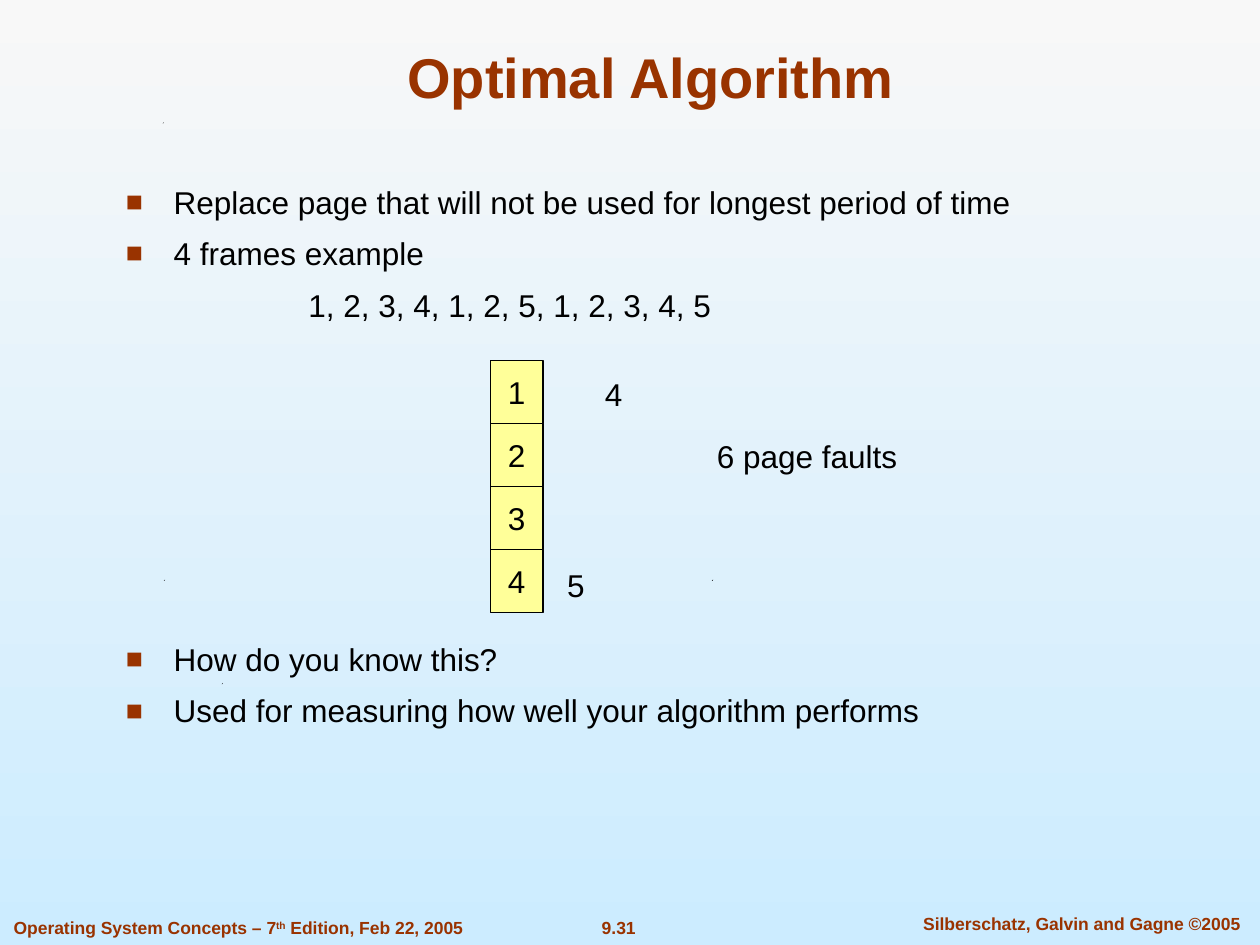
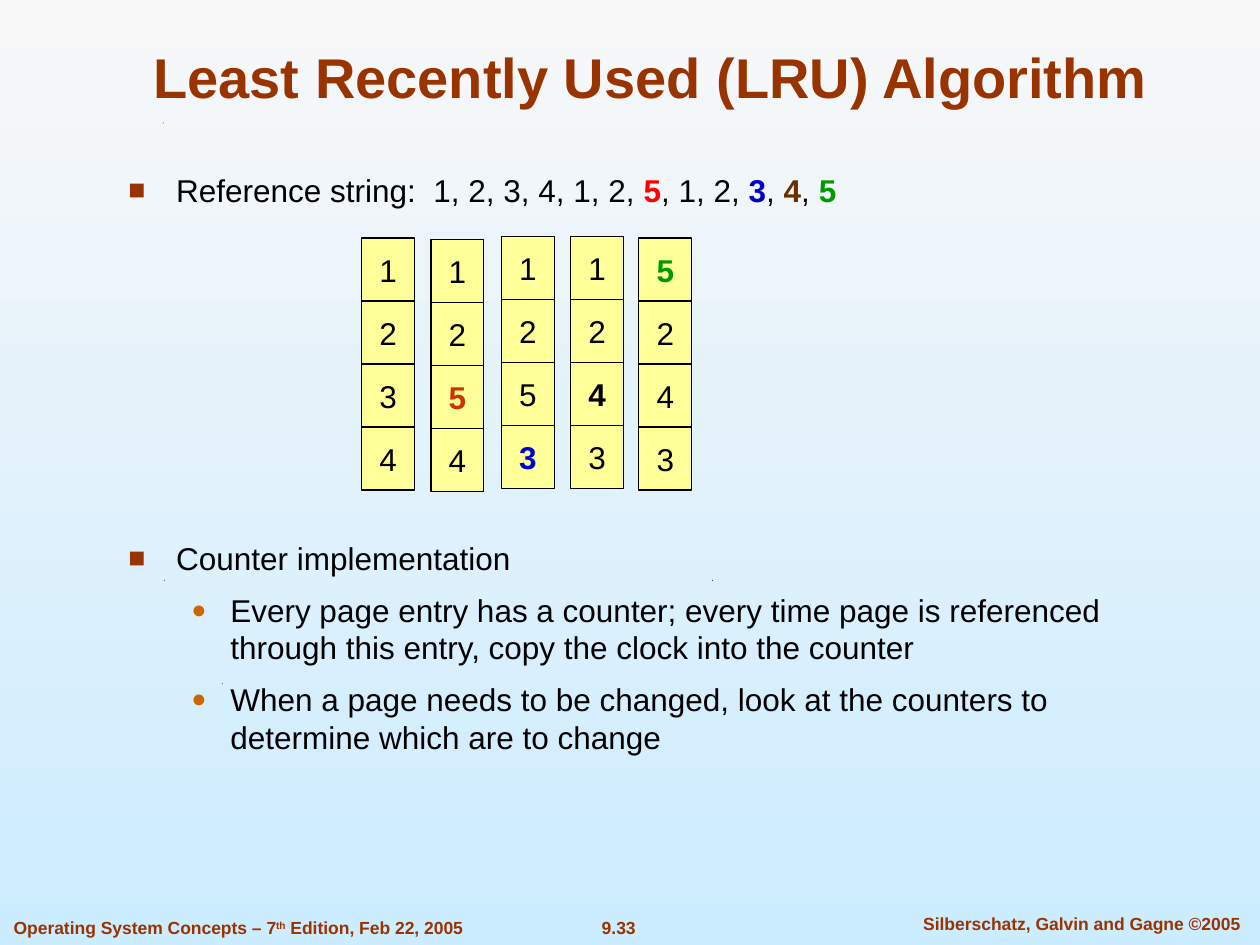
from dataclasses import dataclass

from lxml import etree
from pptx import Presentation
from pptx import util as u
from pptx.dml.color import RGBColor
from pptx.enum import shapes, text
from pptx.oxml.ns import qn


@dataclass(frozen=True)
class Theme:
    font: str = "Arial"
    title_size: float = 32
    body_size: float = 18
    footer_size: float = 10
    rust: str = "993300"
    orange: str = "CC6600"
    ink: str = "000000"
    cell: str = "FFFF99"
    sky_top: str = "F8F8F8"
    sky_bottom: str = "CCECFF"
    red: str = "FF0000"
    brick: str = "CC3300"
    blue: str = "0000CC"
    brown: str = "663300"
    green: str = "009900"
    line_spacing: float = 1.0
    space_before: float = 7.9


THEME = Theme()


@dataclass(frozen=True)
class Span:
    words: str
    color: str = THEME.ink
    bold: bool = False
    size: float = THEME.body_size
    baseline: int = 0


@dataclass(frozen=True)
class Bullet:
    char: str
    color: str
    percent: int


@dataclass(frozen=True)
class Level:
    margin: float
    hanging: float
    bullet: Bullet | None


@dataclass(frozen=True)
class Item:
    spans: list[Span]
    level: Level
    space_before: float = THEME.space_before


@dataclass(frozen=True)
class Label:
    left: float
    top: float
    width: float
    height: float
    spans: list[Span]
    align: text.PP_ALIGN = text.PP_ALIGN.CENTER
    anchor: text.MSO_ANCHOR = text.MSO_ANCHOR.MIDDLE


@dataclass(frozen=True)
class FrameColumn:
    left: float
    top: float
    pages: list[Span]


@dataclass(frozen=True)
class Lesson:
    title: str
    number: str
    body_left: float
    body_top: float
    items: list[Item]
    columns: list[FrameColumn]
    labels: list[Label]


TOPIC = Level(0.38, 0.38, Bullet("■", THEME.rust, 90))
DETAIL = Level(0.81, 0.31, Bullet("●", THEME.orange, 80))
INSET = Level(1.45, 0, None)
CELL_WIDTH, CELL_HEIGHT = 0.42, 0.5
BODY_WIDTH, BODY_HEIGHT = 8.04, 4.9
SPECKS = [(1.76, 5.42), (1.3, 4.6), (5.65, 4.6), (1.29, 0.97)]


def pages(numbers: str, **highlights: Span) -> list[Span]:
    """One span per page number; a highlight named p<number> replaces its page."""
    return [highlights.get(f"p{number}", Span(number)) for number in numbers]


def footer_span(words: str, baseline: int = 0) -> Span:
    return Span(words, THEME.rust, True, THEME.footer_size, baseline)


LESSONS = [
    Lesson(
        "Optimal Algorithm", "9.31", 0.9, 1.4,
        [
            Item([Span("Replace page that will not be used for longest period of time")], TOPIC),
            Item([Span("4 frames example")], TOPIC),
            Item([Span("1, 2, 3, 4, 1, 2, 5, 1, 2, 3, 4, 5")], INSET),
            Item([Span("How do you know this?")], TOPIC, 180.6),
            Item([Span("Used for measuring how well your algorithm performs")], TOPIC),
        ],
        [FrameColumn(3.89, 2.86, pages("1234"))],
        [
            Label(4.7, 2.93, 0.34, 0.4, [Span("4")]),
            Label(5.59, 3.42, 1.63, 0.4, [Span("6 page faults")]),
            Label(4.4, 4.44, 0.34, 0.4, [Span("5")]),
        ],
    ),
    Lesson(
        "Least Recently Used (LRU) Algorithm", "9.33", 0.92, 1.31,
        [
            Item([
                Span("Reference string:  1, 2, 3, 4, 1, 2, "),
                Span("5", THEME.red, True),
                Span(", 1, 2, "),
                Span("3", THEME.blue, True),
                Span(", "),
                Span("4", THEME.brown, True),
                Span(", "),
                Span("5", THEME.green, True),
            ], TOPIC),
            Item([Span("Counter implementation")], TOPIC, 188.6),
            Item([Span("Every page entry has a counter; every time page is referenced "
                       "through this entry, copy the clock into the counter")], DETAIL),
            Item([Span("When a page needs to be changed, look at the counters to "
                       "determine which are to change")], DETAIL),
        ],
        [
            FrameColumn(2.87, 1.89, pages("1234")),
            FrameColumn(3.42, 1.9, pages("1254", p5=Span("5", THEME.brick, True))),
            FrameColumn(3.98, 1.88, pages("1253", p3=Span("3", THEME.blue, True))),
            FrameColumn(4.53, 1.88, pages("1243", p4=Span("4", bold=True))),
            FrameColumn(5.07, 1.89, pages("5243", p5=Span("5", THEME.green, True))),
        ],
        [],
    ),
]


def rgb(color: str) -> RGBColor:
    return RGBColor.from_string(color)


def add_spans(para, spans: list[Span]) -> None:
    for span in spans:
        run = para.add_run()
        run.text = span.words
        run.font.name = THEME.font
        run.font.size = u.Pt(span.size)
        run.font.bold = span.bold
        run.font.color.rgb = rgb(span.color)
        if span.baseline:
            run.font._element.set("baseline", str(span.baseline * 1000))


def set_level(para, level: Level) -> None:
    """Indent the paragraph and give it the bullet of its level."""
    props = para._p.get_or_add_pPr()
    props.set("marL", str(u.Inches(level.margin)))
    props.set("indent", str(-u.Inches(level.hanging)))
    if level.bullet is None:
        etree.SubElement(props, qn("a:buNone"))
        return
    color = etree.SubElement(props, qn("a:buClr"))
    etree.SubElement(color, qn("a:srgbClr"), val=level.bullet.color)
    etree.SubElement(props, qn("a:buSzPct"), val=str(level.bullet.percent * 1000))
    etree.SubElement(props, qn("a:buFont"), typeface=THEME.font)
    etree.SubElement(props, qn("a:buChar"), char=level.bullet.char)


def add_label(page, label: Label) -> None:
    box = page.shapes.add_textbox(u.Inches(label.left), u.Inches(label.top),
                                  u.Inches(label.width), u.Inches(label.height))
    frame = box.text_frame
    frame.word_wrap = False
    frame.vertical_anchor = label.anchor
    para = frame.paragraphs[0]
    para.alignment = label.align
    add_spans(para, label.spans)


def add_title(page, words: str) -> None:
    title = page.shapes.title
    title.left, title.top = u.Inches(0.75), u.Inches(0.25)
    title.width, title.height = u.Inches(8.83), u.Inches(0.67)
    frame = title.text_frame
    frame.auto_size = text.MSO_AUTO_SIZE.NONE
    frame.vertical_anchor = text.MSO_ANCHOR.BOTTOM
    para = frame.paragraphs[0]
    para.alignment = text.PP_ALIGN.CENTER
    add_spans(para, [Span(words, THEME.rust, True, THEME.title_size)])


def add_footers(page, number: str) -> None:
    top = text.MSO_ANCHOR.TOP
    edition = [footer_span("Operating System Concepts – 7"), footer_span("th", 30),
               footer_span(" Edition, Feb 22, 2005")]
    authors = [footer_span("Silberschatz, Galvin and Gagne ©2005")]
    for label in (
        Label(4.42, 7.23, 0.98, 0.27, [footer_span(number)], anchor=top),
        Label(7.1, 7.2, 2.97, 0.27, authors, anchor=top),
        Label(0.01, 7.23, 4, 0.27, edition, text.PP_ALIGN.LEFT, top),
    ):
        add_label(page, label)


def add_specks(page) -> None:
    size = u.Inches(0.01)
    for left, top in SPECKS:
        x, y = u.Inches(left), u.Inches(top)
        builder = page.shapes.build_freeform(x, y + size)
        builder.add_line_segments([(x + size, y), (x + size // 2, y + size)])
        speck = builder.convert_to_shape()
        speck.shadow.inherit = False
        speck.fill.solid()
        speck.fill.fore_color.rgb = rgb(THEME.ink)
        speck.line.fill.background()


def add_body(page, lesson: Lesson) -> None:
    box = page.shapes.add_textbox(u.Inches(lesson.body_left), u.Inches(lesson.body_top),
                                  u.Inches(BODY_WIDTH), u.Inches(BODY_HEIGHT))
    frame = box.text_frame
    frame.word_wrap = True
    for index, item in enumerate(lesson.items):
        para = frame.add_paragraph() if index else frame.paragraphs[0]
        para.line_spacing = THEME.line_spacing
        para.space_before = u.Pt(item.space_before)
        set_level(para, item.level)
        add_spans(para, item.spans)


def add_column(page, column: FrameColumn) -> None:
    """Stack one cell for each memory frame."""
    for row, span in enumerate(column.pages):
        cell = page.shapes.add_shape(
            shapes.MSO_SHAPE.RECTANGLE,
            u.Inches(column.left), u.Inches(column.top + row * CELL_HEIGHT),
            u.Inches(CELL_WIDTH), u.Inches(CELL_HEIGHT))
        cell.shadow.inherit = False
        cell.fill.solid()
        cell.fill.fore_color.rgb = rgb(THEME.cell)
        cell.line.color.rgb = rgb(THEME.ink)
        cell.line.width = u.Pt(0.75)
        cell.text_frame.word_wrap = False
        cell.text_frame.vertical_anchor = text.MSO_ANCHOR.MIDDLE
        para = cell.text_frame.paragraphs[0]
        para.alignment = text.PP_ALIGN.CENTER
        add_spans(para, [span])


def paint_background(master) -> None:
    fill = master.background.fill
    fill.gradient()
    fill.gradient_angle = 270
    for stop, color in zip(fill.gradient_stops, (THEME.sky_top, THEME.sky_bottom)):
        stop.color.rgb = rgb(color)


def add_lesson(deck, lesson: Lesson) -> None:
    page = deck.slides.add_slide(deck.slide_layouts.get_by_name("Title Only"))
    add_specks(page)
    add_footers(page, lesson.number)
    add_title(page, lesson.title)
    add_body(page, lesson)
    for column in lesson.columns:
        add_column(page, column)
    for label in lesson.labels:
        add_label(page, label)


def main() -> None:
    deck = Presentation()
    deck.slide_width, deck.slide_height = u.Inches(10), u.Inches(7.5)
    paint_background(deck.slide_master)
    for lesson in LESSONS:
        add_lesson(deck, lesson)
    deck.save("out.pptx")


if __name__ == "__main__":
    main()
